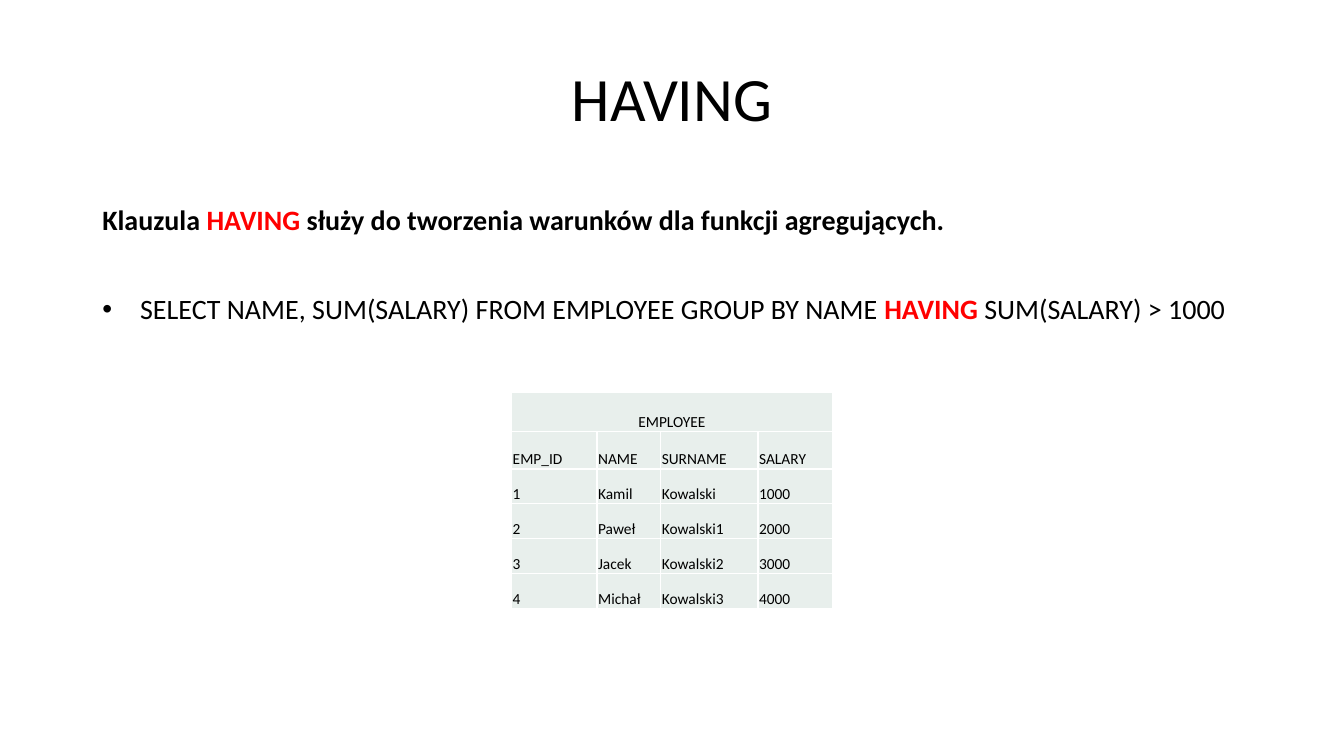
import pptx
import pptx.util
import pptx.dml.color
import pptx.enum.text
import pptx.oxml
import pptx.oxml.ns

Pt = pptx.util.Pt
ALIGN = pptx.enum.text.PP_ALIGN
ANCHOR = pptx.enum.text.MSO_ANCHOR
NS = pptx.oxml.ns.nsdecls("a")
BLACK, RED, WHITE, MINT = "000000", "FF0000", "FFFFFF", "E8EFEC"


def tint(hue):
    return pptx.dml.color.RGBColor.from_string(hue)


def style(par, size, align=ALIGN.LEFT):
    par.alignment = align
    par.font.name = "Calibri"
    par.font.size = Pt(size)
    par.font.color.rgb = tint(BLACK)


deck = pptx.Presentation()
deck.slide_width, deck.slide_height = Pt(960), Pt(540)
slide = deck.slides.add_slide(deck.slide_layouts[5])

# Title
title = slide.shapes.title
title.left, title.top, title.width, title.height = Pt(120), Pt(30), Pt(720), Pt(70)
frame = title.text_frame
frame.text = "HAVING"
frame.auto_size = pptx.enum.text.MSO_AUTO_SIZE.NONE
frame.vertical_anchor = ANCHOR.BOTTOM
style(frame.paragraphs[0], 44, ALIGN.CENTER)
frame.paragraphs[0].line_spacing = 0.9

# Clause text: space before, then runs of text, colour and weight
lines = [
    (10, [("Klauzula ", BLACK, True), ("HAVING ", RED, True),
          ("służy do tworzenia warunków dla funkcji agregujących.", BLACK, True)]),
    (42, [("SELECT NAME, SUM(SALARY) FROM EMPLOYEE GROUP BY NAME ", BLACK, False),
          ("HAVING", RED, True), (" SUM(SALARY) > 1000", BLACK, False)]),
]
body = slide.shapes.add_textbox(Pt(66), Pt(144), Pt(828), Pt(343)).text_frame
body.word_wrap = True
for i, (gap, runs) in enumerate(lines):
    par = body.add_paragraph() if i else body.paragraphs[0]
    style(par, 20)
    par.line_spacing = 0.9
    par.space_before = Pt(gap)
    for text, hue, bold in runs:
        run = par.add_run()
        run.text = text
        run.font.bold = bold
        run.font.color.rgb = tint(hue)

# Bullet on the query
props = par._p.get_or_add_pPr()
props.set("marL", str(Pt(27)))
props.set("indent", str(Pt(-27)))
for mark in ('buFont {} typeface="Arial"', 'buChar {} char="•"'):
    props.append(pptx.oxml.parse_xml(f"<a:{mark.format(NS)}/>"))

# Employee table
rows = [
    ("EMPLOYEE", "", "", ""),
    ("EMP_ID", "NAME", "SURNAME", "SALARY"),
    ("1", "Kamil", "Kowalski", "1000"),
    ("2", "Paweł", "Kowalski1", "2000"),
    ("3", "Jacek", "Kowalski2", "3000"),
    ("4", "Michał", "Kowalski3", "4000"),
]
widths = [61, 45.5, 69.5, 53]
heights = [28, 26.5] + [25] * 4
table = slide.shapes.add_table(len(rows), len(widths), Pt(365.5), Pt(280.5),
                               Pt(sum(widths)), Pt(sum(heights))).table
table.first_row = table.horz_banding = False
for col, width in zip(table.columns, widths):
    col.width = Pt(width)
for row, height, texts in zip(table.rows, heights, rows):
    row.height = Pt(height)
    for cell, text in zip(row.cells, texts):
        cell.text = text
        cell.vertical_anchor = ANCHOR.BOTTOM
        cell.margin_left = cell.margin_right = cell.margin_top = Pt(0.75)
        cell.margin_bottom = 0
        style(cell.text_frame.paragraphs[0], 11)
        for side in "LRTB":
            cell._tc.get_or_add_tcPr().append(pptx.oxml.parse_xml(
                f'<a:ln{side} {NS} w="{Pt(1)}"><a:solidFill>'
                f'<a:srgbClr val="{WHITE}"/></a:solidFill></a:ln{side}>'))
        cell.fill.solid()
        cell.fill.fore_color.rgb = tint(MINT)

# Table heading across all columns
head = table.cell(0, 0)
head.merge(table.cell(0, len(widths) - 1))
head.text_frame.paragraphs[0].alignment = ALIGN.CENTER

deck.save("out.pptx")
